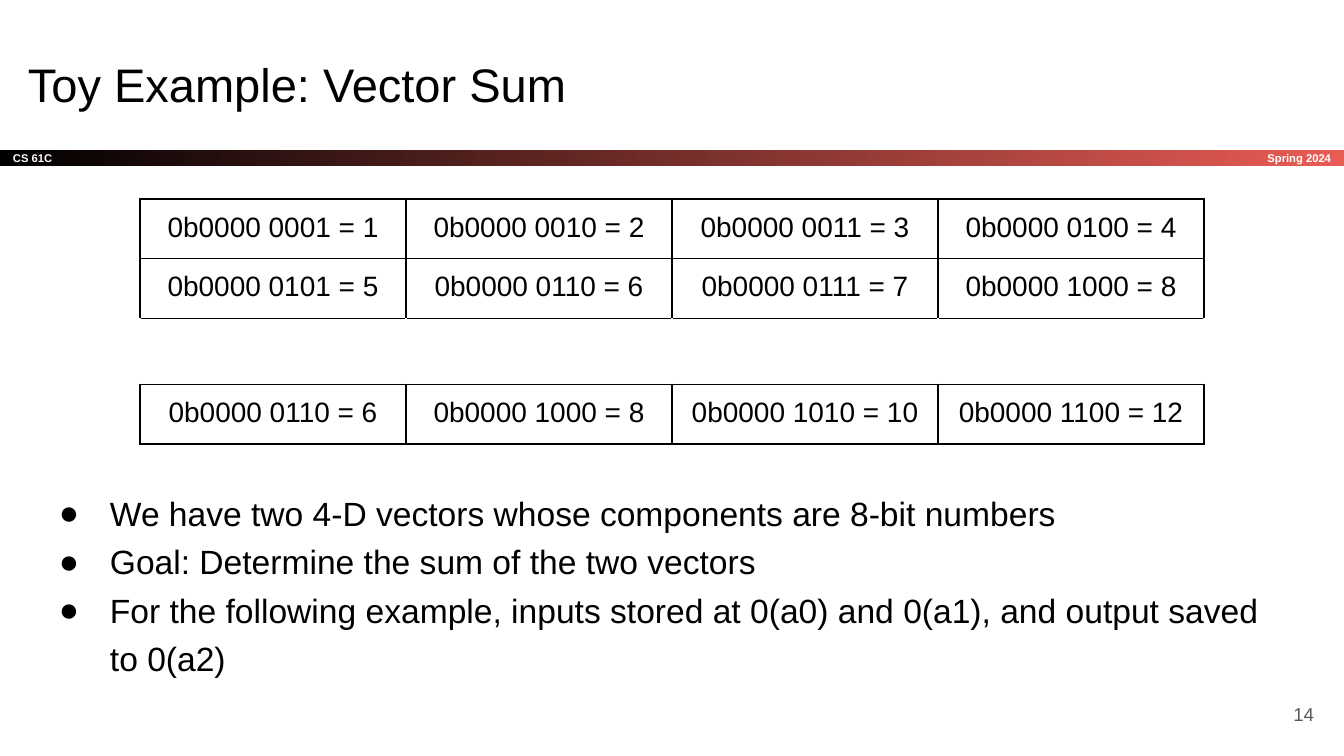
from dataclasses import dataclass
from lxml.etree import SubElement as Sub
from pptx import Presentation
from pptx.dml.color import RGBColor as Rgb
from pptx.enum.shapes import MSO_SHAPE as Kind
from pptx.enum.text import MSO_ANCHOR as Anchor, PP_ALIGN as Align
from pptx.oxml.ns import qn
from pptx.util import Pt

# Content
TITLE = "Toy Example: Vector Sum"
COURSE, TERM, PAGE = "CS 61C", "Spring 2024", "14"
ROWS = [
    ["0b0000 0001 = 1", "0b0000 0010 = 2", "0b0000 0011 = 3", "0b0000 0100 = 4"],
    ["0b0000 0101 = 5", "0b0000 0110 = 6", "0b0000 0111 = 7", "0b0000 1000 = 8"],
    [],
    ["0b0000 0110 = 6", "0b0000 1000 = 8", "0b0000 1010 = 10", "0b0000 1100 = 12"],
]
POINTS = [
    "We have two 4-D vectors whose components are 8-bit numbers",
    "Goal: Determine the sum of the two vectors",
    "For the following example, inputs stored at 0(a0) and 0(a1), and output saved to 0(a2)",
]


@dataclass(frozen=True)
class Theme:
    font: str = "Arial"
    ink: str = "000000"
    paper: str = "FFFFFF"
    accent: str = "E85C54"
    muted: str = "595959"
    title: float = 25.2
    body: float = 18
    cell: float = 15
    page: float = 10
    tag: float = 6


T = Theme()
SCALE = 914400 / 134.4
PAD = 13  # text inset
COL, ROW, GAP = 266, 58, 65  # table column, row and spacer row


def px(n):
    return round(n * SCALE)


def style(para, size, color, align=Align.LEFT, bold=False):
    para.alignment = align
    for run in para.runs:
        font = run.font
        font.name, font.size, font.bold = T.font, Pt(size), bold
        font.color.rgb = Rgb.from_string(color)


def write(shape, text, size, color, anchor=Anchor.MIDDLE, **look):
    frame = shape.text_frame
    frame.word_wrap = True
    frame.vertical_anchor = anchor
    frame.margin_left = frame.margin_right = px(PAD)
    frame.margin_top = frame.margin_bottom = px(PAD)
    frame.text = text
    for para in frame.paragraphs:
        style(para, size, color, **look)
    return frame


def bullet(para):
    props = para._p.get_or_add_pPr()
    props.set("marL", str(px(67)))
    props.set("indent", str(px(-51)))
    para.line_spacing = 1.2
    tint = Sub(props, qn("a:buClr"))
    Sub(tint, qn("a:srgbClr"), val=T.ink)
    Sub(props, qn("a:buFont"), typeface=T.font)
    Sub(props, qn("a:buChar"), char="●")


def border(cell, sides):
    props = cell._tc.get_or_add_tcPr()
    for side in "LRTB":
        line = Sub(props, qn(f"a:ln{side}"), w=str(Pt(0.75)))
        fill = Sub(line, qn("a:solidFill"))
        Sub(fill, qn("a:srgbClr"), val=sides if side in "LR" else T.ink)


deck = Presentation()
deck.slide_width, deck.slide_height = px(1344), px(756)
slide = deck.slides.add_slide(deck.slide_layouts[6])
shapes = slide.shapes


def box(*at):
    return shapes.add_textbox(*map(px, at))


# Course bar
bar = shapes.add_shape(Kind.RECTANGLE, *map(px, (0, 150, 1344, 16)))
bar.shadow.inherit = False
bar.line.fill.background()
bar.fill.gradient()
bar.fill.gradient_angle = 0
for stop, color, pos in zip(bar.fill.gradient_stops, (T.ink, T.accent), (0, 1)):
    stop.color.rgb = Rgb.from_string(color)
    stop.position = pos
write(bar, COURSE, T.tag, T.paper, bold=True)
write(box(1121, 150, 223, 16), TERM, T.tag, T.paper, align=Align.RIGHT, bold=True)

# Title and points
write(box(15, 40, 1253, 85), TITLE, T.title, T.ink, Anchor.BOTTOM)
body = write(box(30, 472, 1253, 265), "\n".join(POINTS), T.body, T.ink, Anchor.TOP)
for para in body.paragraphs:
    bullet(para)

# Vectors and their sum, with an open spacer row between
count = len(ROWS[0])
highs = [ROW if row else GAP for row in ROWS]
at = (140, 199, COL * count, sum(highs))
table = shapes.add_table(len(ROWS), count, *map(px, at)).table
table.first_row = table.horz_banding = False
for col in table.columns:
    col.width = px(COL)
for r, (row, high) in enumerate(zip(ROWS, highs)):
    table.rows[r].height = px(high)
    for c in range(count):
        cell = table.cell(r, c)
        cell.margin_left = cell.margin_right = px(PAD)
        cell.margin_top = cell.margin_bottom = px(PAD)
        border(cell, T.ink if row else T.paper)
        cell.fill.background()
        if row:
            cell.text_frame.text = row[c]
            style(cell.text_frame.paragraphs[0], T.cell, T.ink, Align.CENTER)

# Page number
write(box(1246, 685, 81, 58), PAGE, T.page, T.muted, align=Align.RIGHT)

deck.save("out.pptx")
